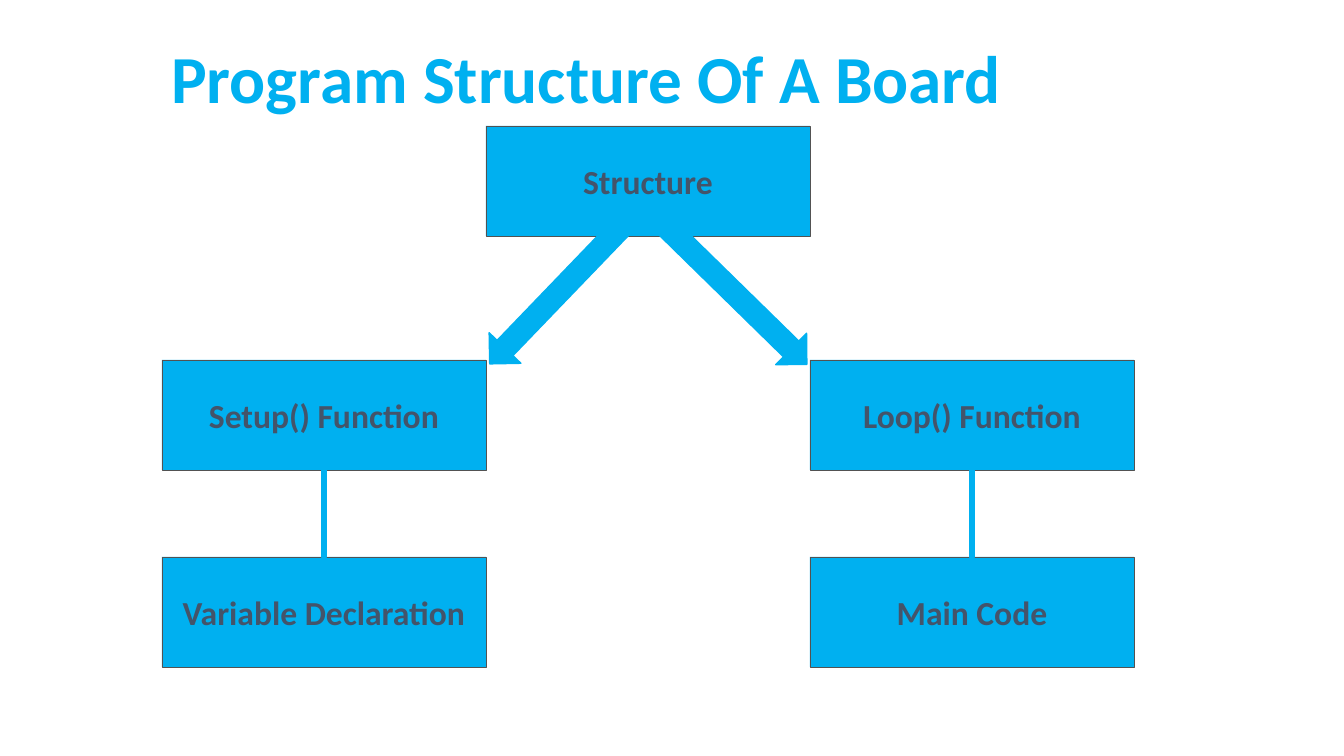
from pptx import Presentation
from pptx.dml.color import RGBColor
from pptx.enum.shapes import MSO_SHAPE
from pptx.enum.text import MSO_ANCHOR, MSO_AUTO_SIZE, PP_ALIGN
from pptx.util import Emu, Pt

RECT, ARROW, MINUS = MSO_SHAPE.RECTANGLE, MSO_SHAPE.DOWN_ARROW, MSO_SHAPE.MATH_MINUS
TOP, MIDDLE = MSO_ANCHOR.TOP, MSO_ANCHOR.MIDDLE
LEFT, CENTER = PP_ALIGN.LEFT, PP_ALIGN.CENTER
NO_FIT = MSO_AUTO_SIZE.NONE

PX_PER_INCH = 100.8
COLORS = {"sky": "00B0F0", "border": "525252", "label": "44546A"}
TITLE_FONT = {"name": "Calibri", "size": Pt(48), "bold": True}
LABEL_FONT = {"name": "Calibri", "size": Pt(24), "bold": True}

# Three equal columns, three rows
GRID_LEFT, BOX_W, BOX_H = 162, 324, 110
ROW_TOPS = [126, 360, 557]


def px(n):
    return Emu(round(n * 914400 / PX_PER_INCH))


def color(name):
    return RGBColor.from_string(COLORS[name])


def write(tf, text, font, color_name, align, anchor):
    tf.word_wrap = True
    tf.auto_size = NO_FIT
    tf.vertical_anchor = anchor
    p = tf.paragraphs[0]
    p.alignment = align
    r = p.add_run()
    r.text = text
    for key, value in font.items():
        setattr(r.font, key, value)
    r.font.color.rgb = color(color_name)


def add_title(s, text):
    sp = s.shapes.title
    sp.left, sp.top, sp.width, sp.height = (px(n) for n in (161, 31, 1022, 92))
    write(sp.text_frame, text, TITLE_FONT, "sky", LEFT, TOP)


def add_filled(s, kind, left, top, width, height, line, line_pt):
    sp = s.shapes.add_shape(kind, px(left), px(top), px(width), px(height))
    sp.shadow.inherit = False
    sp.fill.solid()
    sp.fill.fore_color.rgb = color("sky")
    sp.line.color.rgb = color(line)
    sp.line.width = Pt(line_pt)
    return sp


def add_box(s, col, row, text):
    sp = add_filled(s, RECT, GRID_LEFT + col * BOX_W, ROW_TOPS[row],
                    BOX_W, BOX_H, "border", 0.5)
    write(sp.text_frame, text, LABEL_FONT, "label", CENTER, MIDDLE)


def add_link(s, kind, center_x, center_y, width, height, rotation):
    sp = add_filled(s, kind, center_x - width / 2, center_y - height / 2,
                    width, height, "sky", 1)
    sp.rotation = rotation


def main():
    prs = Presentation()
    prs.slide_width, prs.slide_height = px(1344), px(756)
    s = prs.slides.add_slide(prs.slide_layouts[5])
    add_title(s, "Program Structure Of A Board")

    # Boxes: column, row, label
    for col, row, text in [
        (1, 0, "Structure"),
        (0, 1, "Setup() Function"),
        (2, 1, "Loop() Function"),
        (0, 2, "Variable Declaration"),
        (2, 2, "Main Code"),
    ]:
        add_box(s, col, row, text)

    # Arrows from the structure to its two functions
    add_link(s, ARROW, 557, 294, 44, 194, 43.9)
    add_link(s, ARROW, 733, 292, 44, 207, 314.4)

    # Bars from each function to its content
    bar_y = (ROW_TOPS[1] + BOX_H + ROW_TOPS[2]) / 2
    for col in (0, 2):
        add_link(s, MINUS, GRID_LEFT + (col + 0.5) * BOX_W, bar_y, 119, 17, 90)

    prs.save("out.pptx")


if __name__ == "__main__":
    main()
